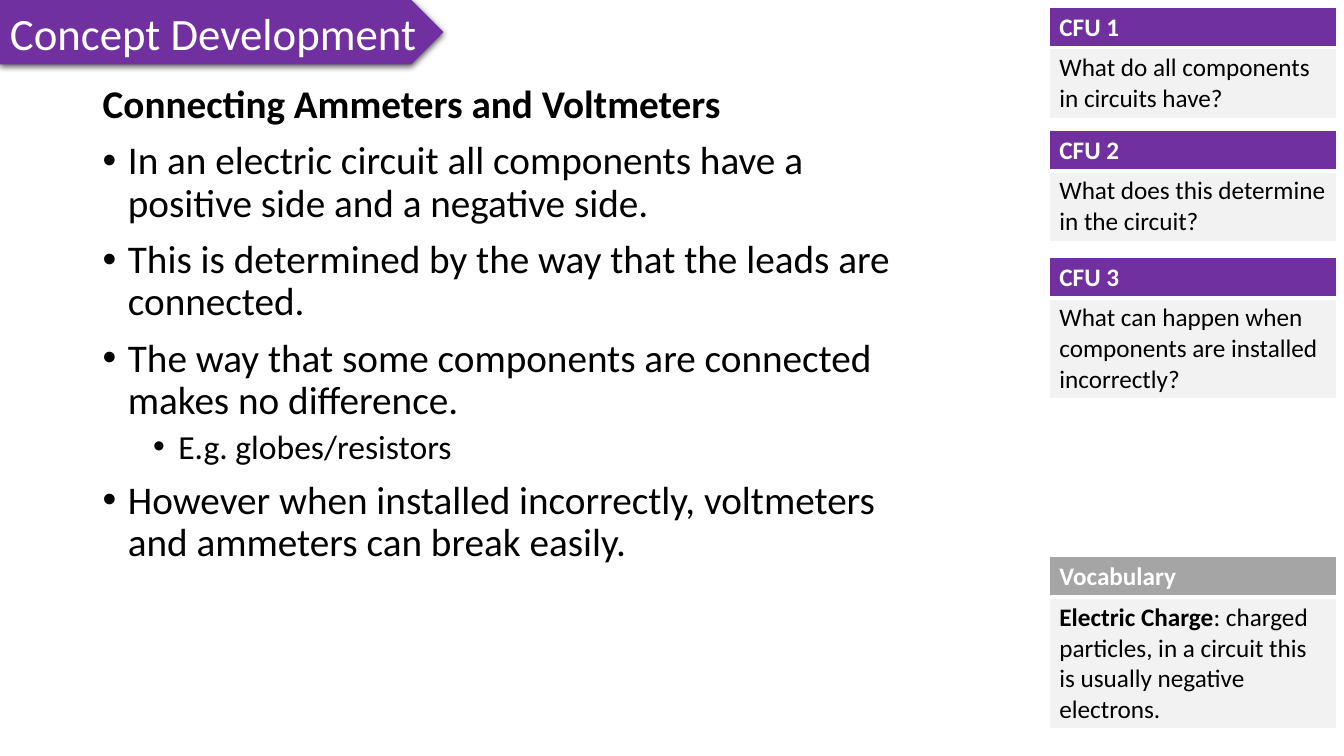
from lxml import etree
from pptx import Presentation
from pptx.dml.color import RGBColor
from pptx.enum.shapes import MSO_SHAPE
from pptx.enum.text import MSO_ANCHOR, MSO_AUTO_SIZE, PP_ALIGN
from pptx.oxml.ns import qn
from pptx.util import Pt

PENTAGON = MSO_SHAPE.PENTAGON
LEFT = PP_ALIGN.LEFT
TOP, MIDDLE = MSO_ANCHOR.TOP, MSO_ANCHOR.MIDDLE
FIT_NONE, FIT_SHAPE = MSO_AUTO_SIZE.NONE, MSO_AUTO_SIZE.SHAPE_TO_FIT_TEXT

PURPLE = RGBColor(0x70, 0x30, 0xA0)
GREY = RGBColor(0xA5, 0xA5, 0xA5)
PALE = RGBColor(0xF2, 0xF2, 0xF2)
WHITE = RGBColor(0xFF, 0xFF, 0xFF)
BLACK = RGBColor(0, 0, 0)
FONT = "Calibri"

TAG_BOX = (0, 0, 316.8, 46)
LESSON_BOX = (66.2, 56.9, 595.4, 385.2)
CARD_LEFT, CARD_WIDTH, CARD_HEAD = 749.5, 205.2, 29

HEADING = "Connecting Ammeters and Voltmeters"
POINTS = [
    (0, "In an electric circuit all components have a positive side and a negative side."),
    (0, "This is determined by the way that the leads are connected."),
    (0, "The way that some components are connected makes no difference."),
    (1, "E.g. globes/resistors"),
    (0, "However when installed incorrectly, voltmeters and ammeters can break easily."),
]
# Level: text size, space before, left margin
LEVELS = {0: (28, 10, 18), 1: (24, 5, 54)}
BULLET_HANG = 18

# Top, height, colour, heading, bold lead-in, text
CARDS = [
    (5, 79.2, PURPLE, "CFU 1", "", "What do all components in circuits have?"),
    (92.9, 79.2, PURPLE, "CFU 2", "", "What does this determine in the circuit?"),
    (183.8, 101, PURPLE, "CFU 3", "",
     "What can happen when components are installed incorrectly?"),
    (397.6, 123.1, GREY, "Vocabulary", "Electric Charge",
     ": charged particles, in a circuit this is usually negative electrons."),
]


def write(paragraph, text, size=18, color=BLACK, bold=False):
    run = paragraph.add_run()
    run.text = text
    run.font.name = FONT
    run.font.size = Pt(size)
    run.font.color.rgb = color
    run.font.bold = bold


def add_shadow(shape):
    shape.shadow.inherit = False
    effects = shape.element.spPr.find(qn("a:effectLst"))
    shadow = etree.SubElement(effects, qn("a:outerShdw"), blurRad=str(Pt(4.5)),
                              dist=str(Pt(1.5)), dir="5400000", rotWithShape="0")
    color = etree.SubElement(shadow, qn("a:srgbClr"), val=str(BLACK))
    etree.SubElement(color, qn("a:alpha"), val="63000")


def add_section_tag(slide, box, text):
    tag = slide.shapes.add_shape(PENTAGON, *map(Pt, box))
    tag.fill.solid()
    tag.fill.fore_color.rgb = PURPLE
    tag.line.fill.background()
    add_shadow(tag)
    frame = tag.text_frame
    frame.word_wrap = False
    frame.auto_size = FIT_SHAPE
    frame.vertical_anchor = MIDDLE
    frame.paragraphs[0].alignment = LEFT
    write(frame.paragraphs[0], text, size=32, color=WHITE)


def format_paragraph(paragraph, space_before, margin=0, bullet=None):
    paragraph.alignment = LEFT
    paragraph.line_spacing = 0.9
    paragraph.space_before = Pt(space_before)
    properties = paragraph._p.get_or_add_pPr()
    properties.set("marL", str(Pt(margin)))
    properties.set("indent", str(Pt(-BULLET_HANG if bullet else 0)))
    if bullet:
        etree.SubElement(properties, qn("a:buFont"), typeface="Arial")
        etree.SubElement(properties, qn("a:buChar"), char=bullet)
    else:
        etree.SubElement(properties, qn("a:buNone"))


def fill_lesson(body, box):
    body.left, body.top, body.width, body.height = map(Pt, box)
    frame = body.text_frame
    frame.word_wrap = True
    frame.auto_size = FIT_NONE
    frame.vertical_anchor = TOP
    heading = frame.paragraphs[0]
    format_paragraph(heading, 10)
    write(heading, HEADING, size=28, bold=True)
    for level, text in POINTS:
        size, space_before, margin = LEVELS[level]
        point = frame.add_paragraph()
        point.level = level
        format_paragraph(point, space_before, margin, "•")
        write(point, text, size=size)


def format_cell(cell, fill, **borders):
    """Fill the cell and draw white borders, with widths by side: L, R, T, B."""
    cell.fill.solid()
    cell.fill.fore_color.rgb = fill
    properties = cell._tc.get_or_add_tcPr()
    for place, side in enumerate("LRTB"):
        line = etree.Element(qn(f"a:ln{side}"), w=str(Pt(borders.get(side, 1))))
        solid = etree.SubElement(line, qn("a:solidFill"))
        etree.SubElement(solid, qn("a:srgbClr"), val=str(WHITE))
        properties.insert(place, line)


def add_card(slide, box, color, heading, lead, text):
    table = slide.shapes.add_table(2, 1, *map(Pt, box)).table
    table.horz_banding = False
    table.rows[0].height = Pt(CARD_HEAD)
    table.rows[1].height = Pt(box[3] - CARD_HEAD)
    head, detail = table.cell(0, 0), table.cell(1, 0)
    format_cell(head, color, B=3)
    format_cell(detail, PALE, T=3)
    write(head.text_frame.paragraphs[0], heading, color=WHITE, bold=True)
    paragraph = detail.text_frame.paragraphs[0]
    if lead:
        write(paragraph, lead, bold=True)
    write(paragraph, text)


def main():
    deck = Presentation()
    deck.slide_width, deck.slide_height = Pt(960), Pt(540)
    slide = deck.slides.add_slide(deck.slide_layouts[1])
    title = slide.shapes.title.element
    title.getparent().remove(title)
    add_section_tag(slide, TAG_BOX, "Concept Development")
    fill_lesson(slide.placeholders[1], LESSON_BOX)
    for top, height, *content in CARDS:
        add_card(slide, (CARD_LEFT, top, CARD_WIDTH, height), *content)
    deck.save("out.pptx")


if __name__ == "__main__":
    main()
